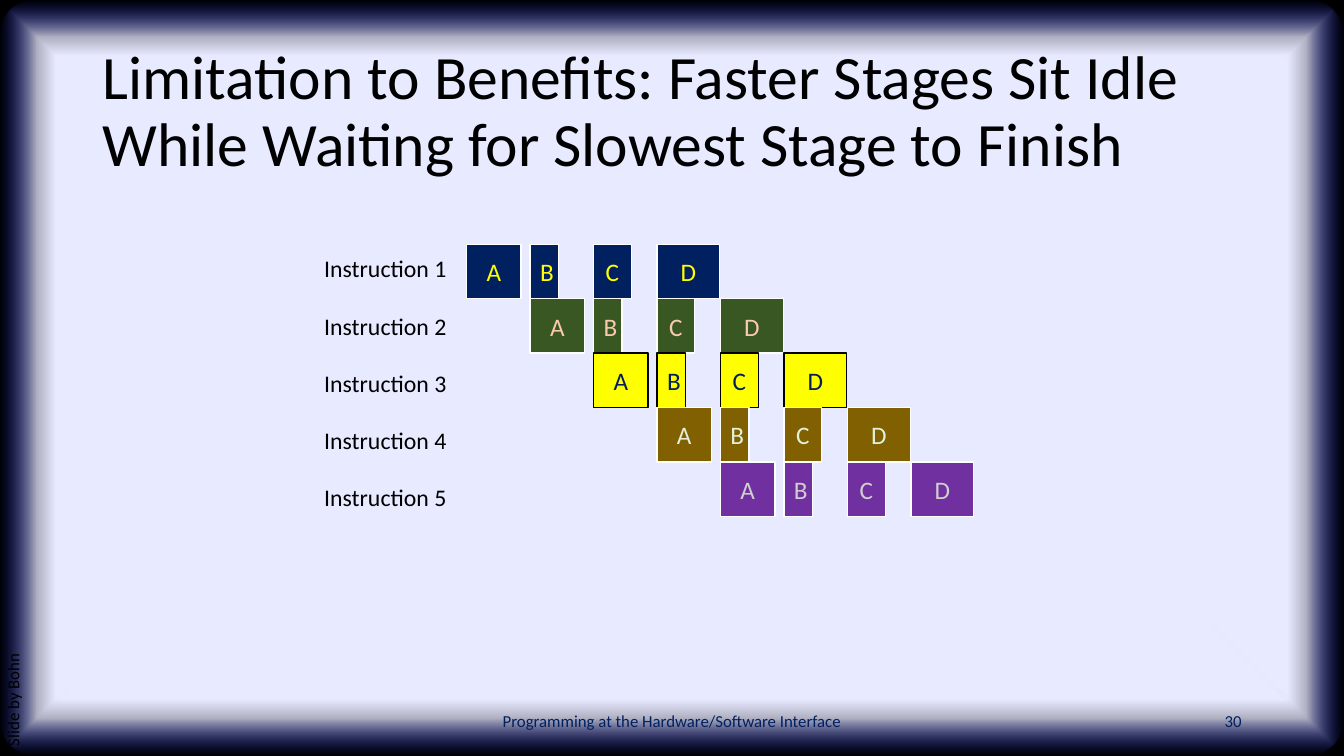
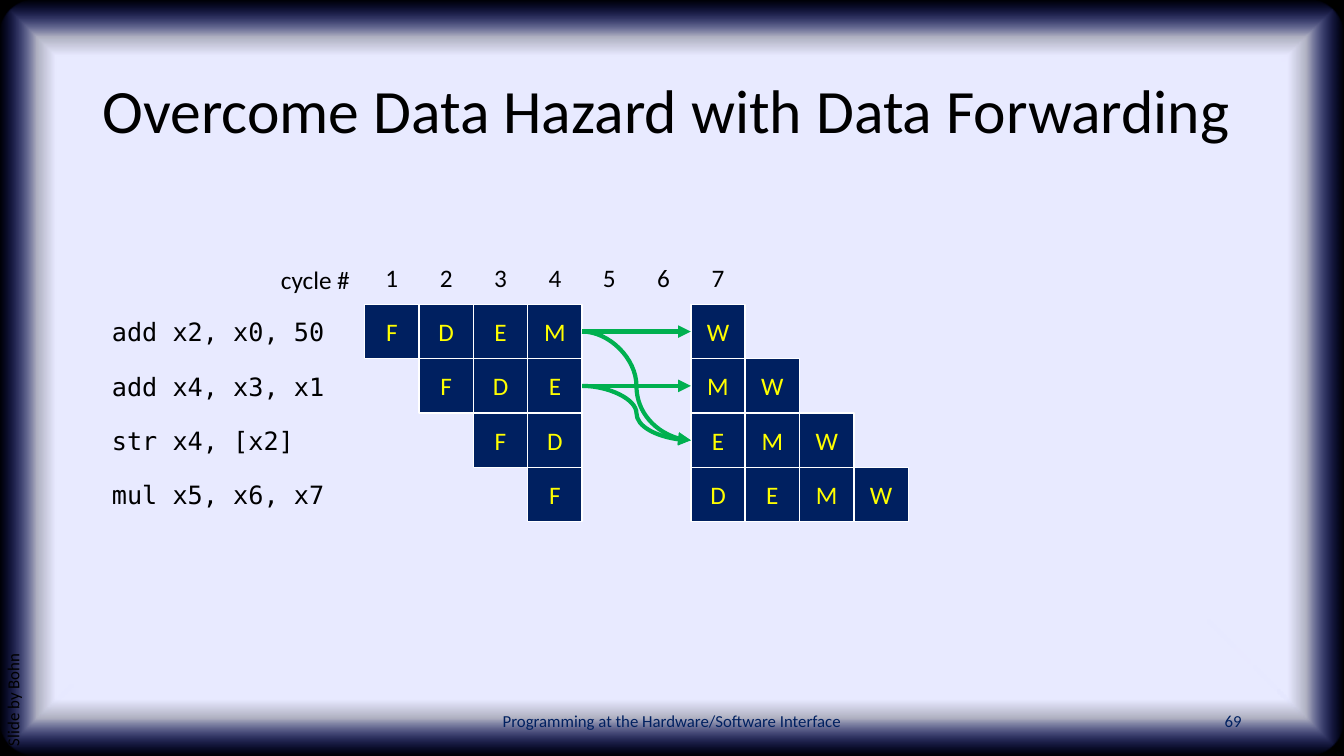
from pptx import Presentation, util as u
from pptx.dml.color import RGBColor
from pptx.enum import shapes, text
from pptx.oxml import parse_xml
from pptx.oxml.ns import nsdecls, qn

NAVY, YELLOW, WHITE, BLACK, GREEN = "002060", "FFFF00", "FFFFFF", "000000", "00B050"
SANS, MONO = "Calibri", "DejaVu Sans Mono"
LEFT, CENTER, RIGHT = text.PP_ALIGN.LEFT, text.PP_ALIGN.CENTER, text.PP_ALIGN.RIGHT
TOP, MIDDLE, BOTTOM = text.MSO_ANCHOR.TOP, text.MSO_ANCHOR.MIDDLE, text.MSO_ANCHOR.BOTTOM
WIDTH, HEIGHT = 33.87, 19.05
SIDE = 1.37  # height of a pipeline cell, cm

GLOW = f"""<a:gradFill {nsdecls("a")} rotWithShape="1"><a:gsLst>
<a:gs pos="85000"><a:srgbClr val="E8EAFF"/></a:gs>
<a:gs pos="90000"><a:srgbClr val="E8EAFF"><a:alpha val="75000"/></a:srgbClr></a:gs>
<a:gs pos="100000"><a:srgbClr val="162AFF"><a:alpha val="0"/></a:srgbClr></a:gs>
</a:gsLst><a:path path="shape">
<a:fillToRect l="50000" t="50000" r="50000" b="50000"/></a:path></a:gradFill>"""


def rgb(value):
    return RGBColor.from_string(value)


class Deck:
    """Shared style plus the slide being built."""

    def __init__(self):
        self.prs = Presentation()
        self.prs.slide_width, self.prs.slide_height = u.Cm(WIDTH), u.Cm(HEIGHT)
        self.s = None

    # Slide with title, footer, number and side credit
    def slide(self, title, number):
        first = self.s is None
        self.s = self.prs.slides.add_slide(self.prs.slide_layouts[1])
        if first:
            self.frame()
        heading, credit = self.s.placeholders
        self.place(heading, 2.33, 1.01, 29.21, 3.68)
        self.add_text(heading.text_frame, [title], 44, anchor=MIDDLE, spacing=0.9)
        self.place(credit, -6.2, 11.84, 13.41, 1.02)
        credit.rotation = 270
        self.add_text(credit.text_frame, ["Slide by Bohn"], 12, spacing=0.9, before=10)
        pPr = credit.text_frame.paragraphs[0]._p.get_or_add_pPr()
        pPr.set("marL", "0")
        pPr.set("indent", "0")
        pPr.append(parse_xml(f'<a:buNone {nsdecls("a")}/>'))
        self.label(["Programming at the Hardware/Software Interface"], 11.22, 17.65, 11.43, 1.02,
                   size=12, color=NAVY, align=CENTER, anchor=MIDDLE)
        self.label([number], 23.92, 17.65, 7.62, 1.02,
                   size=12, color=NAVY, align=RIGHT, anchor=MIDDLE)

    # Black backdrop and glowing panel, moved to the master
    def frame(self):
        kinds = shapes.MSO_SHAPE.RECTANGLE, shapes.MSO_SHAPE.ROUNDED_RECTANGLE
        back, panel = [self.box(kind, 0, 0, WIDTH, HEIGHT, BLACK) for kind in kinds]
        panel.adjustments[0] = 0.05
        spPr = panel.element.spPr
        spPr.replace(spPr.find(qn("a:solidFill")), parse_xml(GLOW))
        tree = self.prs.slide_master.shapes.element
        for i, sp in enumerate((back, panel)):
            tree.insert(2 + i, sp.element)

    def place(self, sp, x, y, w, h):
        sp.left, sp.top, sp.width, sp.height = (u.Cm(v) for v in (x, y, w, h))

    def add_text(self, tf, paragraphs, size, color=BLACK, font=SANS, align=LEFT,
                 anchor=TOP, spacing=None, before=None, wrap=True):
        tf.word_wrap = wrap
        tf.auto_size = text.MSO_AUTO_SIZE.NONE if wrap else text.MSO_AUTO_SIZE.SHAPE_TO_FIT_TEXT
        tf.vertical_anchor = anchor
        for i, content in enumerate(paragraphs):
            p = tf.add_paragraph() if i else tf.paragraphs[0]
            p.alignment = align
            if spacing:
                p.line_spacing = spacing
            if before:
                p.space_before = u.Pt(before)
            for j, line in enumerate(content.split("\n")):
                if j:
                    p.add_line_break()
                r = p.add_run()
                r.text = line
                r.font.size, r.font.name = u.Pt(size), font
                r.font.color.rgb = rgb(color)

    def label(self, paragraphs, x, y, w, h, size=18, **style):
        sp = self.s.shapes.add_textbox(u.Cm(x), u.Cm(y), u.Cm(w), u.Cm(h))
        self.add_text(sp.text_frame, paragraphs, size, **style)

    def box(self, kind, x, y, w, h, fill, line=None):
        sp = self.s.shapes.add_shape(kind, u.Cm(x), u.Cm(y), u.Cm(w), u.Cm(h))
        sp.shadow.inherit = False
        sp.fill.solid()
        sp.fill.fore_color.rgb = rgb(fill)
        if line:
            sp.line.color.rgb = rgb(line)
            sp.line.width = u.Pt(1)
        else:
            sp.line.fill.background()
        return sp

    # Pipeline stage cell
    def cell(self, letter, x, y, w=SIDE, fill=NAVY, color=YELLOW, line=WHITE):
        sp = self.box(shapes.MSO_SHAPE.RECTANGLE, x, y, w, SIDE, fill, line)
        self.add_text(sp.text_frame, [letter], 18, color, align=CENTER, anchor=MIDDLE)
        return sp

    # Arrow from the right side of one cell to the left side of another
    def arrow(self, start, end, kind):
        c = self.s.shapes.add_connector(kind, 0, 0, 0, 0)
        c.begin_connect(start, 3)
        c.end_connect(end, 1)
        c.line.color.rgb = rgb(GREEN)
        c.line.width = u.Pt(3)
        spPr = c.element.spPr
        spPr.find(qn("a:ln")).append(parse_xml(f'<a:tailEnd {nsdecls("a")} type="triangle"/>'))
        spPr.append(parse_xml(f'<a:effectLst {nsdecls("a")}/>'))


def idle_stages(d):
    d.slide("Limitation to Benefits: Faster Stages Sit Idle\n"
            "While Waiting for Slowest Stage to Finish", "30")
    d.label([f"Instruction {n}" for n in range(1, 6)], 7.92, 5.69, 3.63, 7.32,
            size=17, anchor=BOTTOM, spacing=2.0, wrap=False)
    x0, y0, step = 11.76, 6.16, 1.6
    stages = [("A", SIDE), ("B", 0.72), ("C", 0.95), ("D", 1.58)]
    palette = [(NAVY, YELLOW, WHITE), ("385723", "F8CBAD", WHITE), (YELLOW, NAVY, BLACK),
               ("806000", "E2F0D9", WHITE), ("7030A0", "D0CECE", WHITE)]
    for row, colors in enumerate(palette):
        for col, (letter, w) in enumerate(stages):
            d.cell(letter, x0 + (row + col) * step, y0 + row * SIDE, w, *colors)


def data_forwarding(d):
    d.slide("Overcome Data Hazard with Data Forwarding", "69")
    x0, y0 = 9.19, 7.67

    # Cycle numbers
    d.label(["cycle #"], 6.83, 6.53, 2.34, 1.02, wrap=False)
    for col in range(7):
        d.label([str(col + 1)], x0 + col * SIDE, y0 - SIDE, SIDE, SIDE,
                align=CENTER, anchor=MIDDLE)

    # Instructions; a dot is a cycle without a stage
    program = [("add x2, x0, 50", "FDEM..W"), ("add x4, x3, x1", ".FDE..MW"),
               ("str x4, [x2]", "..FD..EMW"), ("mul x5, x6, x7", "...F..DEMW")]
    cells = {}
    for row, (code, stages) in enumerate(program):
        y = y0 + row * SIDE
        d.label([code], 2.57, y + 0.18, 0.51 + 0.39 * len(code), 1.02, font=MONO, wrap=False)
        for col, letter in enumerate(stages):
            if letter != ".":
                cells[row, col] = d.cell(letter, x0 + col * SIDE, y)

    # Forwarding from cycle 4 to cycle 7
    curve, straight = shapes.MSO_CONNECTOR.CURVE, shapes.MSO_CONNECTOR.STRAIGHT
    for start, end, kind in [(0, 2, curve), (1, 2, curve), (0, 0, straight), (1, 1, straight)]:
        d.arrow(cells[start, 3], cells[end, 6], kind)


def main():
    d = Deck()
    idle_stages(d)
    data_forwarding(d)
    d.prs.save("out.pptx")


if __name__ == "__main__":
    main()
